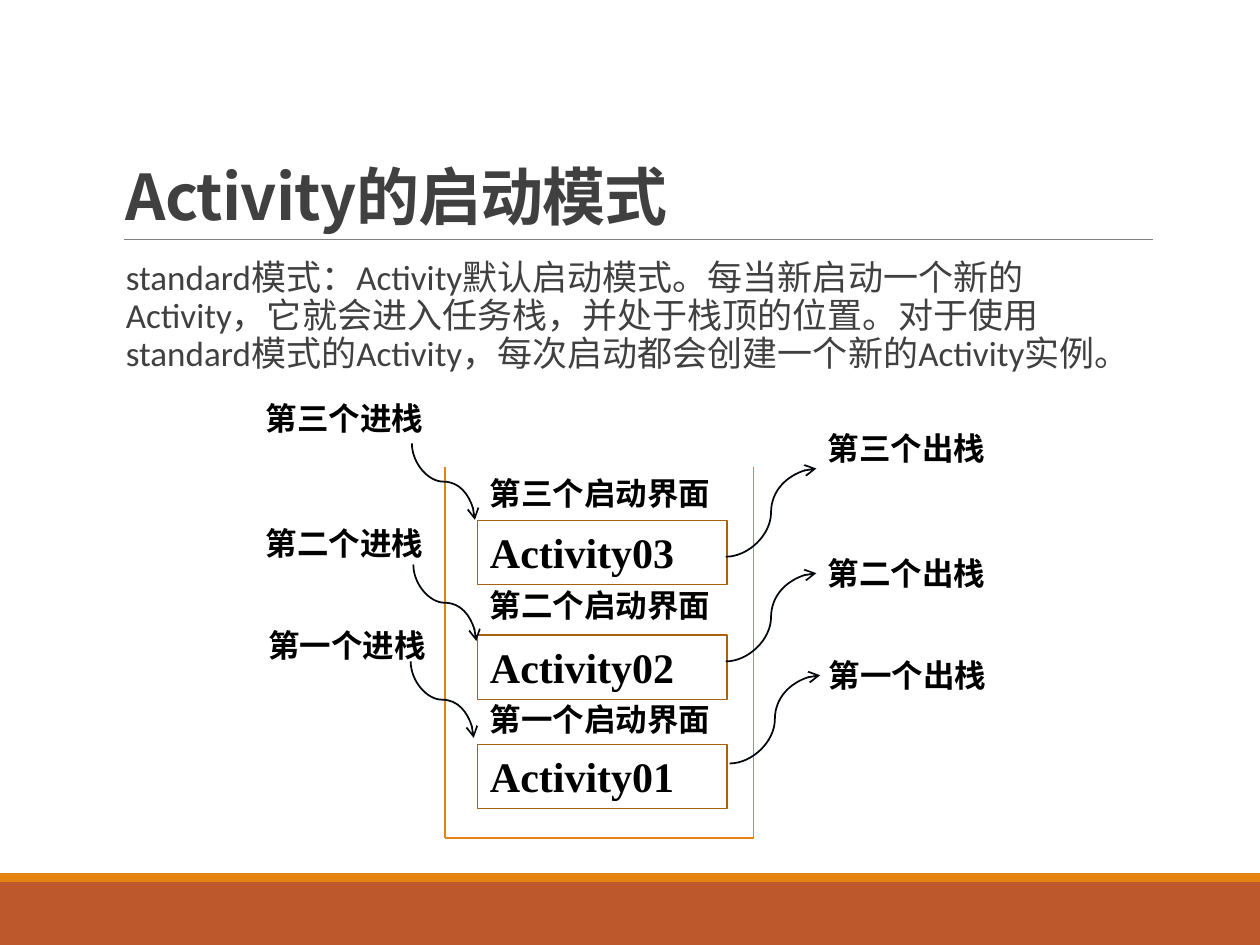
from pptx import Presentation
from pptx.dml.color import RGBColor
from pptx.enum import shapes as sh, text as tx
from pptx.oxml.ns import qn
from pptx.util import Pt
from lxml import etree

# Content
TITLE = "Activity的启动模式"
BODY = ("standard模式：Activity默认启动模式。每当新启动一个新的Activity，"
        "它就会进入任务栈，并处于栈顶的位置。对于使用standard模式的Activity，"
        "每次启动都会创建一个新的Activity实例。")
# Per stack level, top first: box and caption tops, then label and arrow starts
ROWS = [
    dict(num="三", name="Activity03", box=297.4, cap=267.1, push=(144.7, 224.6),
         pop=(465.8, 241.9), enter=(235.4, 253.4), leave=(414.7, 318.2)),
    dict(num="二", name="Activity02", box=362.9, cap=331.2, push=(144.7, 295.9),
         pop=(465.8, 313.2), enter=(236.2, 322.6), leave=(414.7, 378)),
    dict(num="一", name="Activity01", box=425.5, cap=396.7, push=(146.2, 354.2),
         pop=(466.6, 371.5), enter=(234.7, 378), leave=(416.9, 436.3)),
]
STACK = [(254.2, 267.1), (254.2, 478.8), (430.6, 478.8), (430.6, 267.1)]
LEFT = 272.9                # shared left edge of boxes and captions
ENTER = (36, 43.7)          # run and drop of a push arrow
LEAVE = (51.8, -50.4)       # run and rise of a pop arrow

# Theme
CJK, SERIF, SANS = "Noto Sans CJK SC", "Times New Roman", "Calibri"
THEME = dict(
    band="BD582C", strip="E48312", rule="808080", box="A9610D", arrow="03070D",
    title=dict(size=Pt(36), name=CJK, bold=True, color="404040"),
    body=dict(size=Pt(20), name=SANS, bold=False, color="404040"),
    item=dict(size=Pt(24), name=SERIF, bold=True, color="000000"),
    label=dict(size=Pt(18), name=SERIF, bold=True, color="000000"),
)

prs = Presentation()
prs.slide_width, prs.slide_height = Pt(720), Pt(540)
slide = prs.slides.add_slide(prs.slide_layouts[6])
parts = slide.shapes


def rgb(key):
    return RGBColor.from_string(THEME[key])


def write(shape, words, style, **para):
    frame = shape.text_frame
    frame.word_wrap = True
    frame.vertical_anchor = tx.MSO_ANCHOR.TOP
    p = frame.paragraphs[0]
    for key, val in dict(alignment=tx.PP_ALIGN.LEFT, **para).items():
        setattr(p, key, val)
    run = p.add_run()
    run.text = words
    for key, val in THEME[style].items():
        if key == "color":
            run.font.color.rgb = RGBColor.from_string(val)
        else:
            setattr(run.font, key, val)
    etree.SubElement(run.font._element, qn("a:ea"), typeface=CJK)
    return run


def label(words, x, y, w, h=28.8, style="label", **para):
    box = parts.add_textbox(Pt(x), Pt(y), Pt(w), Pt(h))
    return box, write(box, words, style, **para)


def rect(x, y, w, h, fill=None, edge=None):
    shape = parts.add_shape(sh.MSO_SHAPE.RECTANGLE, Pt(x), Pt(y), Pt(w), Pt(h))
    shape.shadow.inherit = False
    if fill:
        shape.fill.solid()
        shape.fill.fore_color.rgb = rgb(fill)
    else:
        shape.fill.background()
    if edge:
        shape.line.color.rgb, shape.line.width = rgb(edge), Pt(0.75)
    else:
        shape.line.fill.background()
    return shape


def link(a, b, color, width=1, kind=sh.MSO_CONNECTOR.STRAIGHT):
    line = parts.add_connector(kind, *[Pt(v) for v in (*a, *b)])
    line.line.color.rgb, line.line.width = rgb(color), Pt(width)
    etree.SubElement(line._element.spPr, qn("a:effectLst"))
    return line


def curve(start, move, upright=False):
    (x, y), (dx, dy) = start, move
    a, b = (x, y), (x + dx, y + dy)
    if upright:  # lay the curve on its side, then turn it about its centre
        cx, cy = x + dx / 2, y + dy / 2
        a, b = (cx + dy / 2, cy - dx / 2), (cx - dy / 2, cy + dx / 2)
    line = link(a, b, "arrow", kind=sh.MSO_CONNECTOR.CURVE)
    if upright:
        line._element.spPr.find(qn("a:xfrm")).set("rot", str(270 * 60000))
    etree.SubElement(line.line._get_or_add_ln(), qn("a:tailEnd"), type="arrow")


# Footer bands and title rule
rect(0, 504, 720, 36, fill="band")
rect(0, 499, 720, 5, fill="strip")
link((70.6, 136.8), (658.8, 136.8), "rule", 0.5)

# Title and body text
box, run = label(TITLE, 64.8, 22.3, 594, 114.5, "title", line_spacing=0.85)
box.text_frame.vertical_anchor = tx.MSO_ANCHOR.BOTTOM
run.font._element.set("spc", "-50")
box, run = label(BODY, 64.8, 145.4, 594, 316.8, "body",
                 line_spacing=0.9, space_after=Pt(2))
box.text_frame.margin_left, box.text_frame.margin_right = Pt(7.2), 0

# Open-topped stack
for a, b in zip(STACK, STACK[1:]):
    link(a, b, "strip")

# Stack levels with their push and pop arrows
for row in ROWS:
    write(rect(LEFT, row["box"], 142.6, 36.7, edge="box"), row["name"], "item")
    nth = f"第{row['num']}个"
    label(nth + "启动界面", LEFT, row["cap"], 157.7)
    label(nth + "进栈", *row["push"], 107.3)
    label(nth + "出栈", *row["pop"], 107.3)
    curve(row["enter"], ENTER, upright=True)
    curve(row["leave"], LEAVE)

prs.save("out.pptx")
